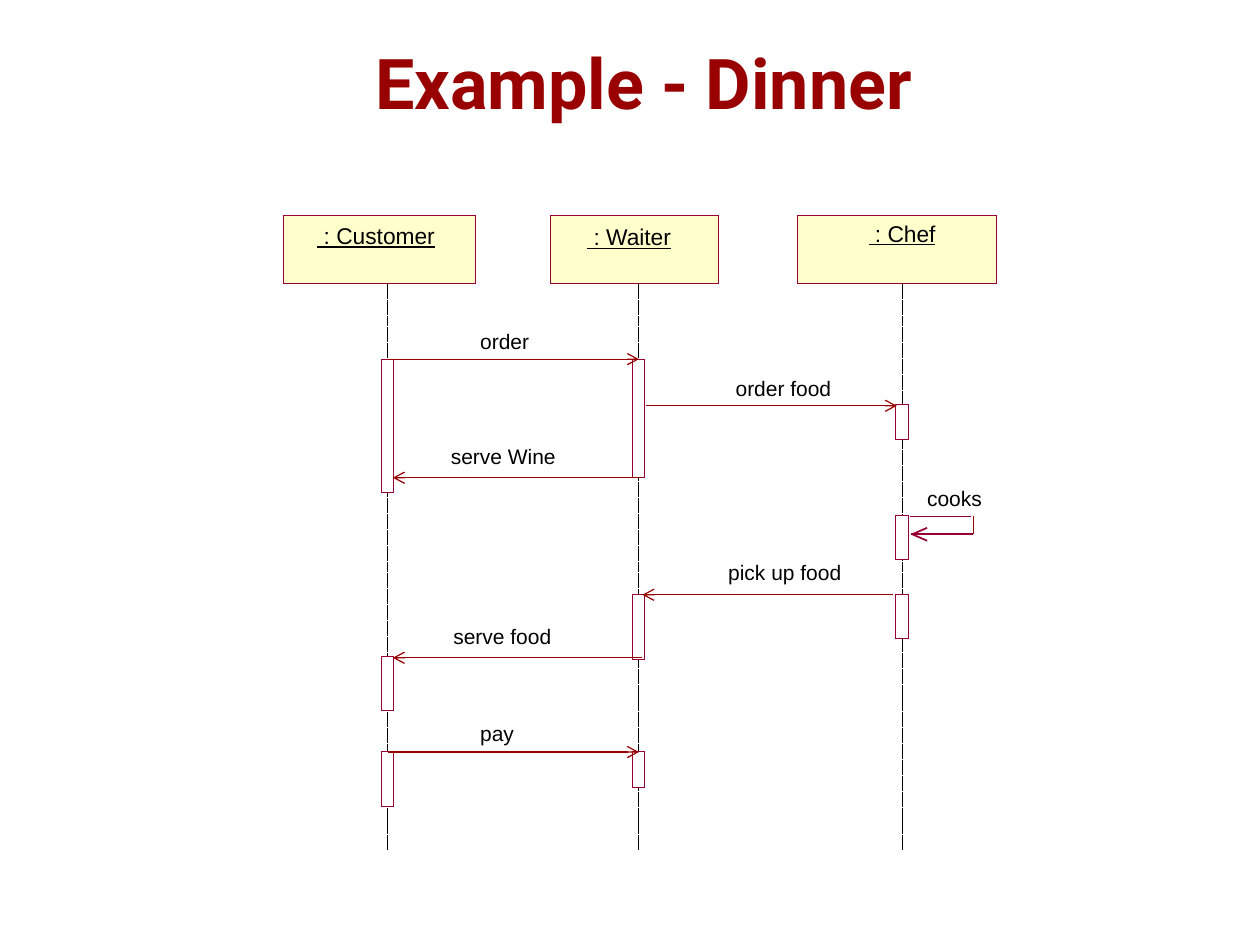
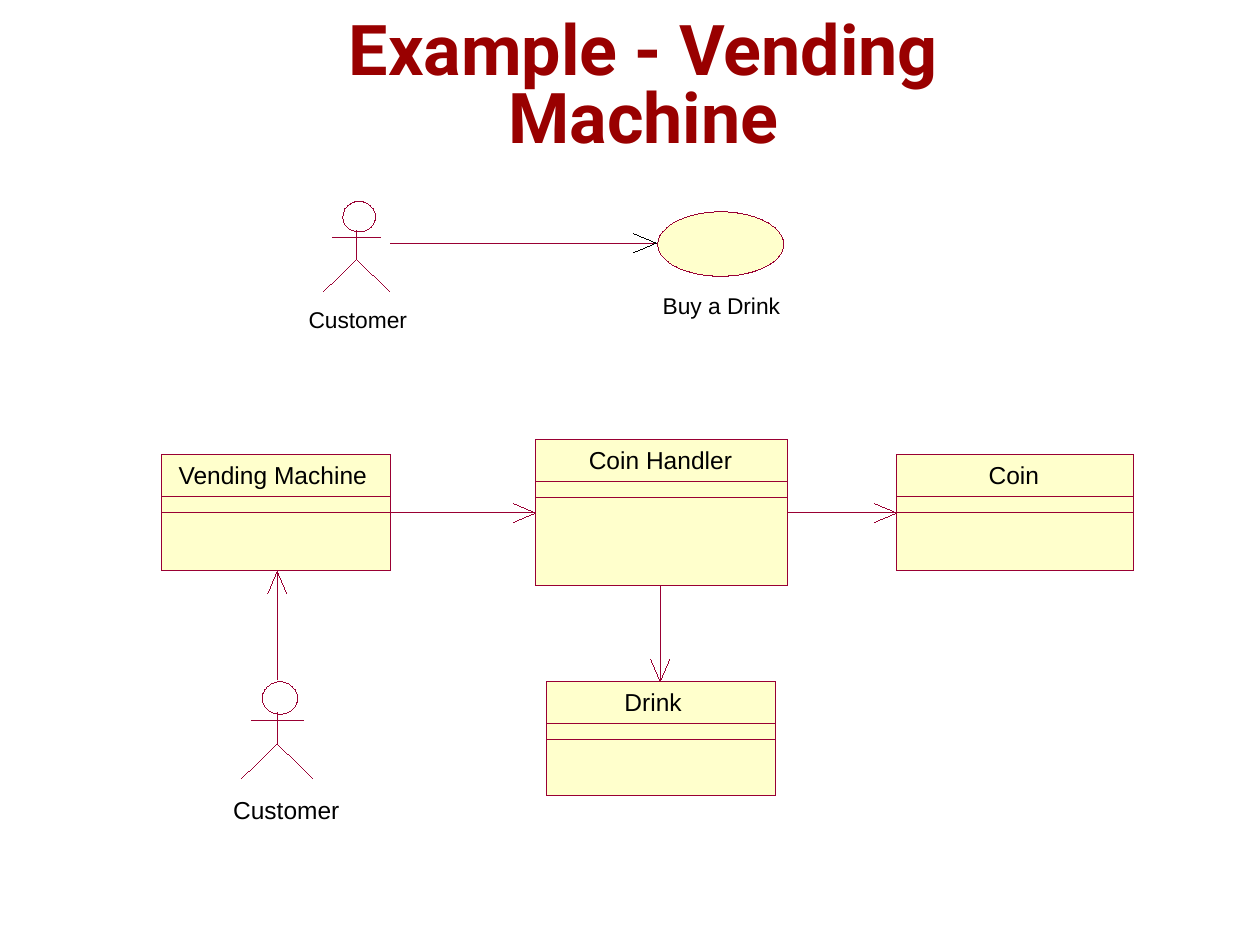
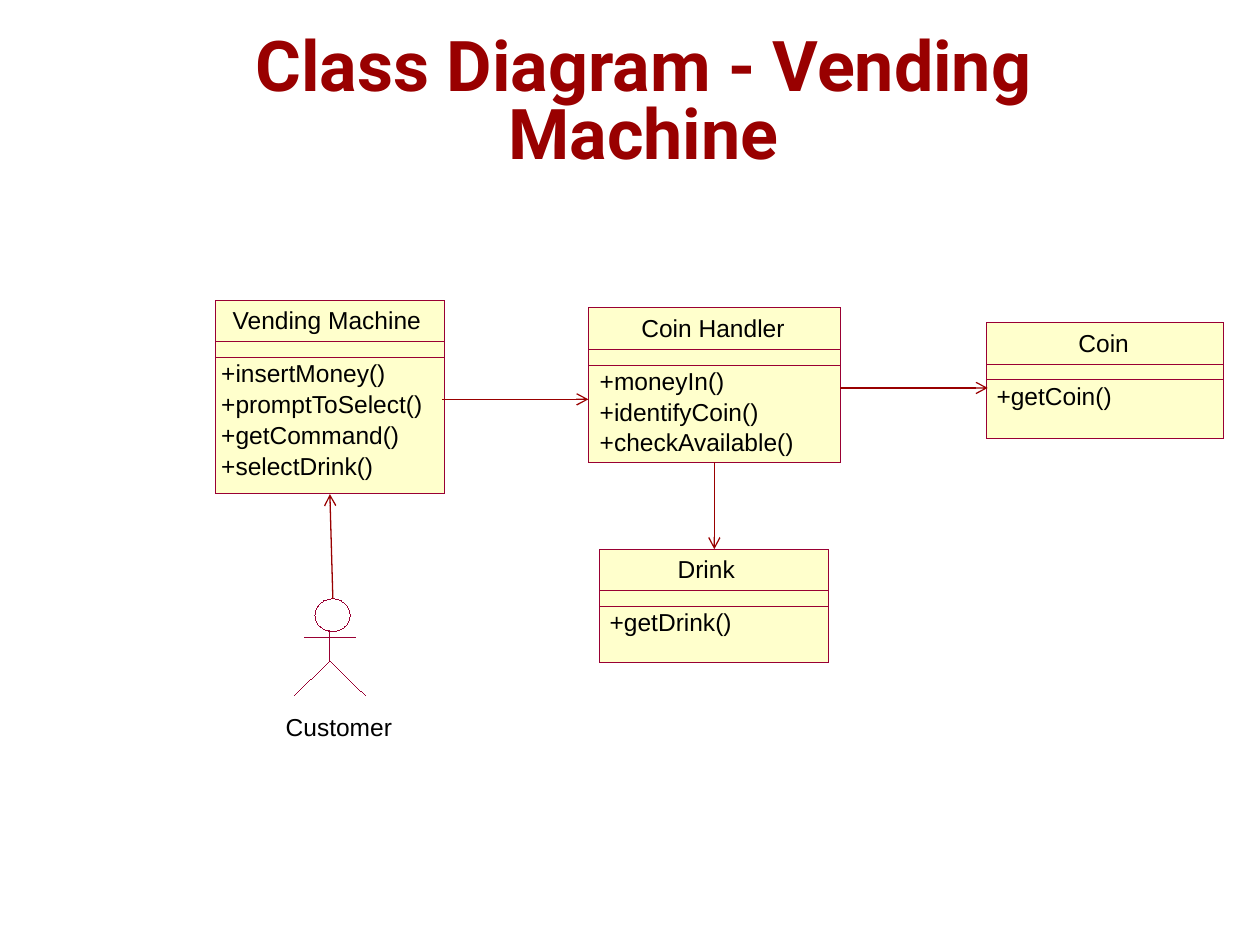
"""Build three UML example slides: a dinner sequence and two vending machine diagrams."""
from dataclasses import dataclass
from math import hypot

from lxml.etree import SubElement
from pptx import Presentation
from pptx.dml.color import RGBColor
from pptx.enum.dml import MSO_LINE
from pptx.enum.shapes import MSO_CONNECTOR, MSO_SHAPE
from pptx.enum.text import MSO_ANCHOR, MSO_AUTO_SIZE, PP_ALIGN
from pptx.oxml.ns import qn
from pptx.util import Cm, Pt


@dataclass(frozen=True)
class Theme:
    title_font: str = "Roboto"
    body_font: str = "Arial"
    red: RGBColor = RGBColor(0x99, 0x00, 0x00)
    plum: RGBColor = RGBColor(0x99, 0x00, 0x33)
    cream: RGBColor = RGBColor(0xFF, 0xFF, 0xCC)
    white: RGBColor = RGBColor(0xFF, 0xFF, 0xFF)
    black: RGBColor = RGBColor(0x00, 0x00, 0x00)
    title_size: int = 40
    class_size: int = 14
    role_size: int = 13
    message_size: int = 12
    title_spacing: float = 0.81
    class_spacing: float = 0.93
    hairline: float = 0.01
    arrow_width: float = 0.75
    loop_width: float = 1


theme = Theme()


def add_label(slide, text, left, top, width, size, spacing=1.0, align=PP_ALIGN.LEFT):
    box = slide.shapes.add_textbox(Cm(left), Cm(top), Cm(width + 0.3), Cm(size * 0.042))
    frame = box.text_frame
    frame.margin_left = frame.margin_right = frame.margin_top = frame.margin_bottom = 0
    frame.word_wrap = True
    frame.auto_size = MSO_AUTO_SIZE.SHAPE_TO_FIT_TEXT
    paragraph = frame.paragraphs[0]
    paragraph.text = text
    paragraph.alignment = align
    paragraph.line_spacing = spacing
    paragraph.font.name = theme.body_font
    paragraph.font.size = Pt(size)
    paragraph.font.color.rgb = theme.black
    return paragraph


def add_line(slide, x1, y1, x2, y2, color=theme.plum, width=theme.hairline, arrow=False):
    line = slide.shapes.add_connector(MSO_CONNECTOR.STRAIGHT, Cm(x1), Cm(y1), Cm(x2), Cm(y2))
    line.line.color.rgb = color
    line.line.width = Pt(width)
    properties = line._element.spPr
    if arrow:
        SubElement(properties.find(qn("a:ln")), qn("a:tailEnd"), type="arrow")
    SubElement(properties, qn("a:effectLst"))
    return line


deck = Presentation()
deck.slide_width, deck.slide_height = Cm(25.4), Cm(19.05)
slides = []
for heading, top in [
    ("Example - Dinner", 0.2),
    ("Example - Vending Machine", 0.2),
    ("Class Diagram - Vending Machine", 0.53),
]:
    slide = deck.slides.add_slide(deck.slide_layouts[5])
    title = slide.shapes.title
    title.left, title.top, title.width, title.height = Cm(4.5), Cm(top), Cm(16.94), Cm(3.18)
    frame = title.text_frame
    frame.margin_left = frame.margin_right = frame.margin_top = frame.margin_bottom = 0
    frame.vertical_anchor = MSO_ANCHOR.MIDDLE
    frame.word_wrap = True
    frame.auto_size = MSO_AUTO_SIZE.NONE
    paragraph = frame.paragraphs[0]
    paragraph.text = heading
    paragraph.alignment = PP_ALIGN.CENTER
    paragraph.line_spacing = theme.title_spacing
    paragraph.font.name = theme.title_font
    paragraph.font.size = Pt(theme.title_size)
    paragraph.font.bold = True
    paragraph.font.color.rgb = theme.red
    slides.append(slide)
dinner, drink_overview, drink_classes = slides
outlined = []

participants = [
    (" : Customer", 7.82, 5.72, 3.86, 6.4, 4.47, 2.39, 1.0, PP_ALIGN.LEFT,
     [(7.24, 2.69), (13.23, 1.09), (15.16, 1.09)]),
    (" : Waiter", 12.88, 11.1, 3.38, 11.84, 4.5, 1.7, 1.0, PP_ALIGN.LEFT,
     [(7.24, 2.39), (11.99, 1.3), (15.16, 0.71)]),
    (" : Chef", 18.19, 16.08, 4.01, 16.28, 4.47, 3.51, theme.class_spacing, PP_ALIGN.CENTER,
     [(8.15, 0.71), (10.39, 0.89), (11.99, 0.89)]),
]
for role, lifeline, left, width, role_left, role_top, role_width, spacing, align, activations in participants:
    add_line(dinner, lifeline, 5.73, lifeline, 17.15, theme.black).line.dash_style = MSO_LINE.SQUARE_DOT
    header = dinner.shapes.add_shape(MSO_SHAPE.RECTANGLE, Cm(left), Cm(4.34), Cm(width), Cm(1.38))
    outlined.append((header, theme.cream, theme.plum))
    caption = add_label(dinner, role, role_left, role_top, role_width, theme.role_size, spacing, align)
    caption.font.underline = True
    for top, height in activations:
        activation = dinner.shapes.add_shape(
            MSO_SHAPE.RECTANGLE, Cm(lifeline - 0.13), Cm(top), Cm(0.25), Cm(height))
        outlined.append((activation, theme.white, theme.plum))

for message, left, top, width, sender, receiver, y in [
    ("order", 9.68, 6.63, 0.99, 7.82, 12.88, 7.24),
    ("order food", 14.83, 7.57, 1.93, 13.03, 18.08, 8.18),
    ("serve Wine", 9.09, 8.94, 2.13, 12.95, 7.92, 9.63),
    ("pick up food", 14.68, 11.28, 2.29, 18.01, 12.95, 11.99),
    ("serve food", 9.14, 12.57, 1.98, 12.95, 7.92, 13.26),
    ("pay", 9.68, 14.53, 0.69, 7.82, 12.88, 15.16),
]:
    add_label(dinner, message, left, top, width, theme.message_size)
    add_line(dinner, sender, y, receiver, y, theme.red, theme.arrow_width, arrow=True)

add_label(dinner, "cooks", 18.69, 9.78, 1.12, theme.message_size)
for x1, y1, x2, y2 in [
    (18.34, 10.41, 19.58, 10.41),
    (19.61, 10.77, 18.36, 10.77),
    (18.39, 10.77, 18.69, 10.9),
    (18.39, 10.77, 18.69, 10.64),
]:
    add_line(dinner, x1, y1, x2, y2, theme.plum, theme.loop_width)
add_line(dinner, 19.63, 10.41, 19.63, 10.77, theme.red, theme.arrow_width)

class_forms = {
    "Coin": (4.78, 1.85, 1.02),
    "Coin Handler": (5.08, 1.07, 2.9),
    "Drink": (4.62, 1.57, 1.17),
    "Vending Machine": (4.62, 0.35, 3.81),
}
for slide, name, left, top, height, indent, operations in [
    (drink_overview, "Coin", 18.08, 9.17, 2.34, 0, []),
    (drink_overview, "Coin Handler", 10.8, 8.86, 2.95, 0, []),
    (drink_overview, "Drink", 11.02, 13.74, 2.29, 0, []),
    (drink_overview, "Vending Machine", 3.25, 9.17, 2.34, 0, []),
    (drink_classes, "Coin", 19.89, 6.5, 2.34, 0.2, [("+getCoin()", 2.34)]),
    (drink_classes, "Coin Handler", 11.86, 6.2, 3.12, 0.23,
     [("+moneyIn()", 2.51), ("+identifyCoin()", 3.23), ("+checkAvailable()", 3.94)]),
    (drink_classes, "Drink", 12.09, 11.07, 2.29, 0.2, [("+getDrink()", 2.46)]),
    (drink_classes, "Vending Machine", 4.34, 6.05, 3.91, 0.12,
     [("+insertMoney()", 3.33), ("+promptToSelect()", 4.06),
      ("+getCommand()", 3.61), ("+selectDrink()", 3.07)]),
]:
    width, name_offset, name_width = class_forms[name]
    for offset, fill in [(0, theme.cream), (0.84, None), (1.16, None)]:
        compartment = slide.shapes.add_shape(
            MSO_SHAPE.RECTANGLE, Cm(left), Cm(top + offset), Cm(width), Cm(height - offset))
        outlined.append((compartment, fill, theme.plum))
    add_label(slide, name, left + name_offset, top + 0.16, name_width, theme.class_size, theme.class_spacing)
    for row, (operation, operation_width) in enumerate(operations):
        add_label(slide, operation, left + indent, top + 1.23 + 0.62 * row, operation_width,
                  theme.class_size, theme.class_spacing)

for slide, neck, top, scale, name_offset, name_drop, size, spacing in [
    (drink_overview, 7.19, 4.06, 0.93, -0.97, 2.11, theme.role_size, 1.0),
    (drink_overview, 5.59, 13.74, 1, -0.89, 2.34, theme.class_size, theme.class_spacing),
    (drink_classes, 6.65, 12.07, 1, -0.89, 2.34, theme.class_size, theme.class_spacing),
]:
    head = slide.shapes.add_shape(
        MSO_SHAPE.OVAL, Cm(neck - 0.3 * scale), Cm(top), Cm(0.71 * scale), Cm(0.66 * scale))
    hip, arms, feet = top + 1.25 * scale, top + 0.79 * scale, top + 1.95 * scale
    reach, stride = 0.52 * scale, 0.72 * scale
    add_line(slide, neck, top + 0.63 * scale, neck, hip)
    add_line(slide, neck - reach, arms, neck + reach, arms)
    pen = slide.shapes.build_freeform(Cm(neck - stride), Cm(feet))
    pen.add_line_segments([(Cm(neck), Cm(hip)), (Cm(neck + stride), Cm(feet))], close=False)
    outlined += [(head, None, theme.plum), (pen.convert_to_shape(), None, theme.plum)]
    add_label(slide, "Customer", neck + name_offset, top + name_drop, 2.16 * scale, size, spacing)

use_case = drink_overview.shapes.add_shape(MSO_SHAPE.OVAL, Cm(13.26), Cm(4.27), Cm(2.54), Cm(1.3))
outlined.append((use_case, theme.cream, theme.plum))
add_label(drink_overview, "Buy a Drink", 13.36, 5.89, 2.36, theme.role_size)

for x1, y1, x2, y2, barb_color in [
    (7.87, 4.9, 13.23, 4.9, theme.black),
    (7.87, 10.34, 10.8, 10.34, theme.plum),
    (15.88, 10.34, 18.08, 10.34, theme.plum),
    (13.31, 11.81, 13.31, 13.74, theme.plum),
    (5.59, 13.69, 5.59, 11.51, theme.plum),
]:
    add_line(drink_overview, x1, y1, x2, y2)
    length = hypot(x2 - x1, y2 - y1)
    along_x, along_y = (x2 - x1) / length, (y2 - y1) / length
    base_x, base_y = x2 - 0.45 * along_x, y2 - 0.45 * along_y
    side_x, side_y = 0.19 * along_y, 0.19 * along_x
    pen = drink_overview.shapes.build_freeform(Cm(base_x - side_x), Cm(base_y - side_y))
    pen.add_line_segments([(Cm(x2), Cm(y2)), (Cm(base_x + side_x), Cm(base_y + side_y))], close=False)
    outlined.append((pen.convert_to_shape(), None, barb_color))

for x1, y1, x2, y2 in [
    (8.92, 8.05, 11.86, 8.05),
    (14.4, 9.32, 14.4, 11.07),
    (6.71, 12.07, 6.65, 9.96),
    (16.94, 7.82, 19.91, 7.82),
]:
    add_line(drink_classes, x1, y1, x2, y2, theme.red, theme.arrow_width, arrow=True)

for figure, fill, color in outlined:
    figure.shadow.inherit = False
    figure.line.color.rgb = color
    figure.line.width = Pt(theme.hairline)
    if fill is None:
        figure.fill.background()
    else:
        figure.fill.solid()
        figure.fill.fore_color.rgb = fill

deck.save("out.pptx")
